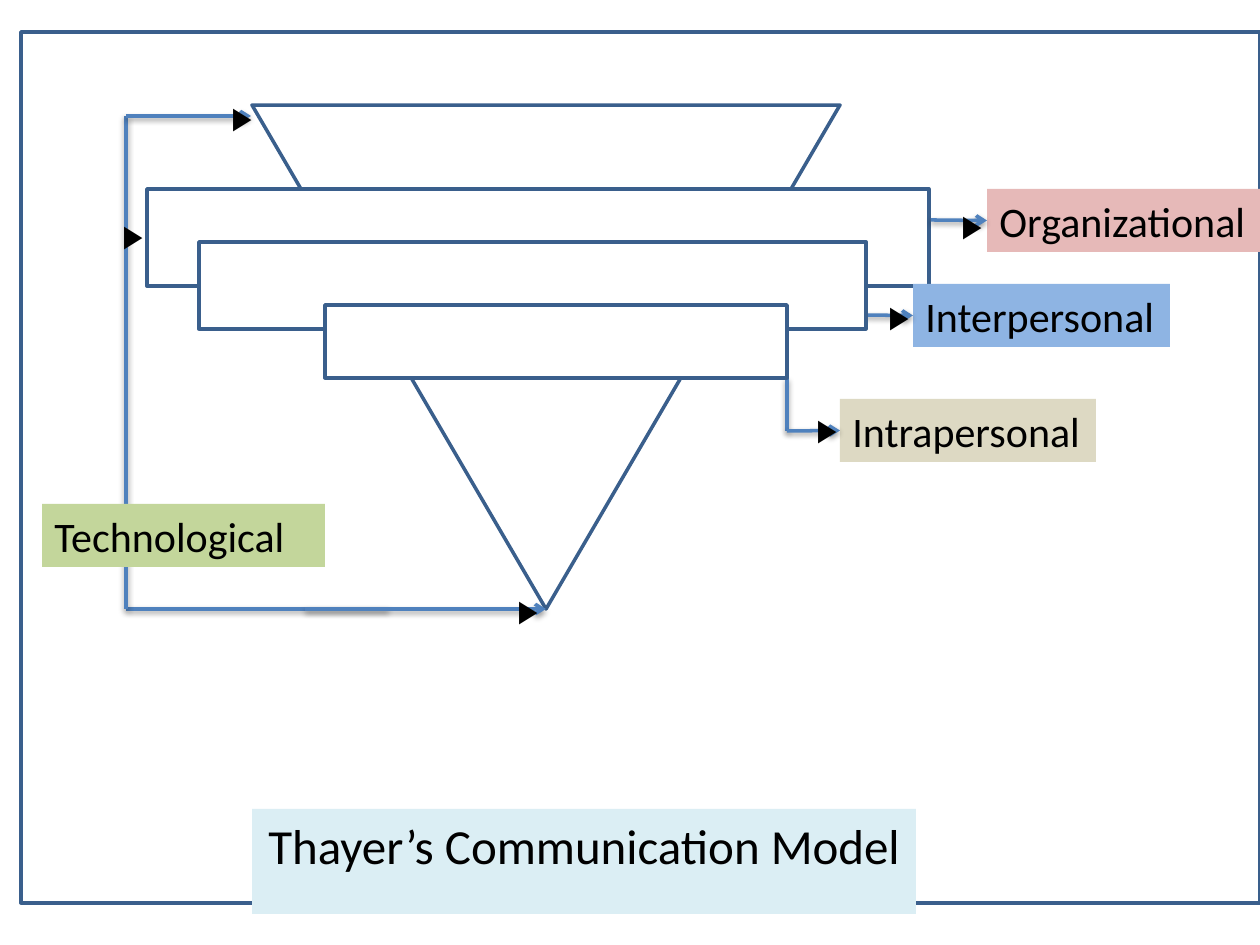
from lxml.etree import SubElement
from pptx import Presentation
from pptx.dml.color import RGBColor
from pptx.enum.shapes import MSO_CONNECTOR, MSO_SHAPE
from pptx.enum.text import MSO_ANCHOR, MSO_AUTO_SIZE, PP_ALIGN
from pptx.oxml import parse_xml
from pptx.oxml.ns import nsdecls, qn
from pptx.util import Emu, Pt

PX = 914400 / 126
THEME = {
    "font": "Calibri", "text": "000000", "paper": "FFFFFF",
    "outline": "3A5F8C", "arrow": "4F81BD", "line": 2,
    "title": "DBEEF4", "organizational": "E6B9B8", "interpersonal": "8EB4E3",
    "intrapersonal": "DDD9C3", "technological": "C3D69B",
    "title_size": 28, "label_size": 24, "marker_size": 18,
}

# Content: boxes are left, top, width, height in px
TITLE = ("Thayer’s Communication Model", (252, 809, 664, 72))
FRAME = (21, 32, 1239, 871)
FUNNEL = (252, 105, 588, 504)
BACK_LEVEL = (147, 189, 782, 97)
FRONT_LEVELS = [(199, 242, 667, 87), (325, 305, 462, 73)]
# text, theme colour, box, wrap, start of the arrow that leads to the label
LABELS = [
    ("Organizational", "organizational", (987, 189, 273, 63), True, (931, 220)),
    ("Interpersonal", "interpersonal", (913, 284, 257, 63), False, (861, 315)),
    ("Intrapersonal", "intrapersonal", (840, 399, 256, 63), False, (787, 431)),
    ("Technological", "technological", (42, 504, 283, 63), True, None),
]
# start, end, arrowhead
LINES = [
    ((388, 609), (126, 609), False),
    ((126, 116), (126, 609), False),
    ((305, 609), (546, 609), True),
    ((787, 378), (787, 431), False),
    ((126, 116), (251, 116), True),
]
MARKER = "▶"
MARKER_SIZE = (53, 50)
MARKERS = [(219, 92), (110, 210), (505, 585), (949, 200), (876, 291), (804, 404)]

SHADOW = (
    f'<a:effectLst {nsdecls("a")}><a:outerShdw blurRad="40000" dist="20000" '
    'dir="5400000" rotWithShape="0"><a:srgbClr val="000000">'
    '<a:alpha val="38000"/></a:srgbClr></a:outerShdw></a:effectLst>'
)


def px(*lengths):
    return [Emu(round(length * PX)) for length in lengths]


def color(name):
    return RGBColor.from_string(THEME[name])


def write(shape, text, *, size, align=PP_ALIGN.LEFT, wrap=False):
    frame = shape.text_frame
    frame.word_wrap = wrap
    frame.auto_size = MSO_AUTO_SIZE.SHAPE_TO_FIT_TEXT
    frame.vertical_anchor = MSO_ANCHOR.TOP
    paragraph = frame.paragraphs[0]
    paragraph.text = text
    paragraph.alignment = align
    paragraph.font.name = THEME["font"]
    paragraph.font.size = Pt(THEME[size])
    paragraph.font.color.rgb = color("text")


def add_box(slide, box, *, kind=MSO_SHAPE.RECTANGLE, fill="paper", outlined=True):
    shape = slide.shapes.add_shape(kind, *px(*box))
    shape.shadow.inherit = False
    shape.fill.solid()
    shape.fill.fore_color.rgb = color(fill)
    if outlined:
        shape.line.color.rgb = color("outline")
        shape.line.width = Pt(THEME["line"])
    else:
        shape.line.fill.background()
    return shape


def add_line(slide, start, end, *, arrow=False, target=None):
    connector = slide.shapes.add_connector(
        MSO_CONNECTOR.STRAIGHT, *px(*start, *end))
    connector.line.color.rgb = color("arrow")
    connector.line.width = Pt(THEME["line"])
    if arrow:
        SubElement(connector.line._get_or_add_ln(), qn("a:tailEnd"), type="arrow")
    connector._element.spPr.append(parse_xml(SHADOW))
    if target is not None:
        connector.end_connect(target, 1)


def main():
    presentation = Presentation()
    presentation.slide_width, presentation.slide_height = px(1260, 945)
    slide = presentation.slides.add_slide(presentation.slide_layouts[5])

    # Frame, funnel and the widest level
    add_box(slide, FRAME)
    funnel = add_box(slide, FUNNEL, kind=MSO_SHAPE.ISOSCELES_TRIANGLE)
    funnel.adjustments[0] = 0.5
    funnel.rotation = 180
    add_box(slide, BACK_LEVEL)

    # Feedback lines, drawn below the labels
    for start, end, arrow in LINES:
        add_line(slide, start, end, arrow=arrow)

    # Labels, with their arrows
    for text, fill, box, wrap, start in LABELS:
        label = add_box(slide, box, fill=fill, outlined=False)
        write(label, text, size="label_size", wrap=wrap)
        if start:
            left, top, _, height = box
            add_line(slide, start, (left, top + height / 2), arrow=True, target=label)

    # Arrow markers
    for position in MARKERS:
        marker = slide.shapes.add_textbox(*px(*position, *MARKER_SIZE))
        write(marker, MARKER, size="marker_size")

    # Narrower levels in front
    for box in FRONT_LEVELS:
        add_box(slide, box)

    # Title, brought in front of the frame
    text, box = TITLE
    title = slide.shapes.title
    title.left, title.top, title.width, title.height = px(*box)
    title.fill.solid()
    title.fill.fore_color.rgb = color("title")
    write(title, text, size="title_size", align=PP_ALIGN.CENTER)
    title._element.getparent().append(title._element)

    presentation.save("out.pptx")


if __name__ == "__main__":
    main()
